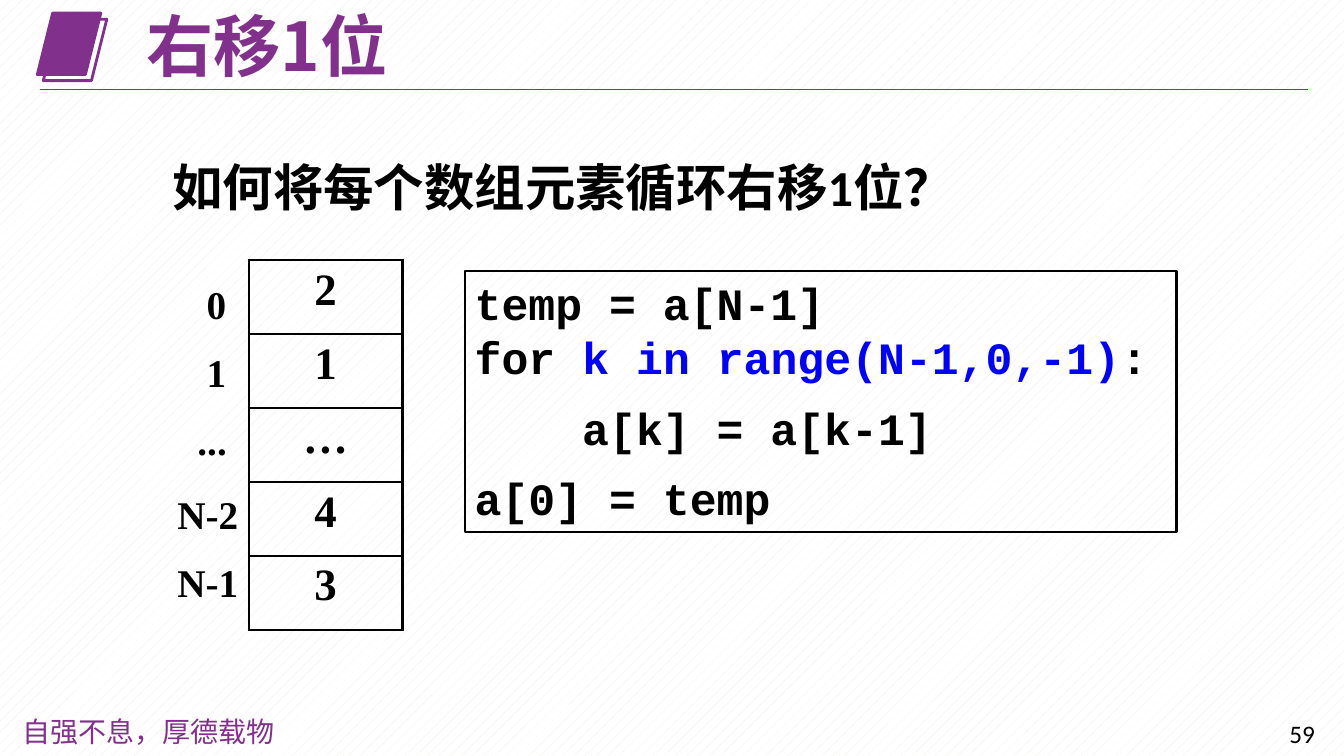
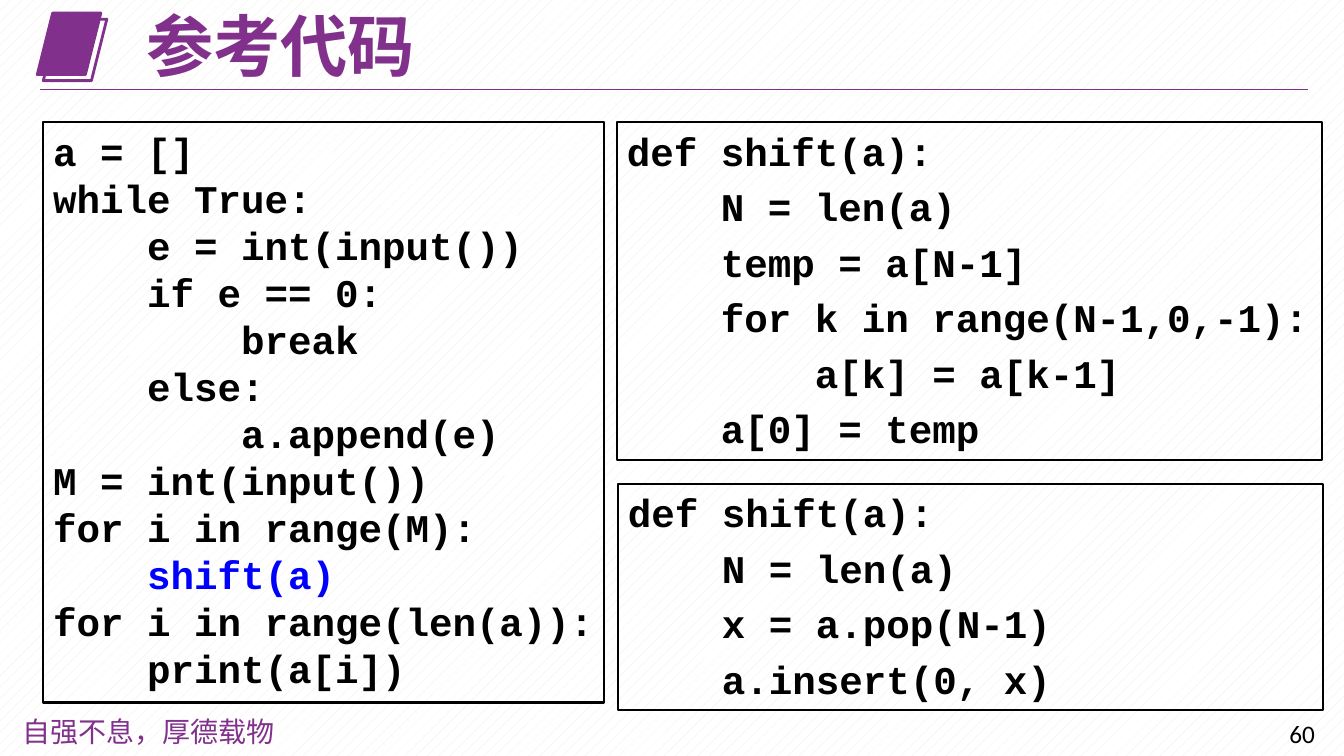
"""Build two lecture slides on rotating a list one place to the right."""
from lxml import etree
from pptx import Presentation
from pptx.dml.color import RGBColor
from pptx.enum.dml import MSO_PATTERN
from pptx.enum.shapes import MSO_CONNECTOR, MSO_SHAPE
from pptx.enum.text import MSO_ANCHOR, MSO_AUTO_SIZE, PP_ALIGN
from pptx.oxml.ns import qn
from pptx.util import Inches, Pt

RECTANGLE, PARALLELOGRAM = MSO_SHAPE.RECTANGLE, MSO_SHAPE.PARALLELOGRAM
STRAIGHT, DOTS = MSO_CONNECTOR.STRAIGHT, MSO_PATTERN.PERCENT_10
LEFT, CENTER = PP_ALIGN.LEFT, PP_ALIGN.CENTER
TOP, MIDDLE, FIXED = MSO_ANCHOR.TOP, MSO_ANCHOR.MIDDLE, MSO_AUTO_SIZE.NONE

COLORS = {"purple": "81308C", "black": "000000", "blue": "0000FF",
          "cream": "EEECE1", "white": "FFFFFF"}
CHINESE = "Noto Sans CJK SC"
STYLES = {
    "title": {"name": CHINESE, "size": Pt(48), "bold": True, "color": "purple"},
    "footer": {"name": "Noto Sans CJK JP", "size": Pt(20), "bold": False, "color": "purple"},
    "number": {"name": "Calibri", "size": Pt(18), "bold": False, "color": "black"},
    "question": {"name": "Calibri", "size": Pt(36), "bold": True, "color": "black"},
    "cell": {"name": "Times New Roman", "size": Pt(32), "bold": True, "color": "black"},
    "label": {"name": "Times New Roman", "size": Pt(28), "bold": True, "color": "black"},
    "large code": {"name": "Courier New", "size": Pt(32), "bold": True, "color": "black"},
    "code": {"name": "Courier New", "size": Pt(28), "bold": True, "color": "black"},
}

SLIDE_SIZE = (13.33, 7.5)
FIRST_NUMBER = 59
MOTTO = "自强不息，厚德载物"
QUESTION = "如何将每个数组元素循环右移1位？"
VALUES = ["2", "1", "…", "4", "3"]
LABELS = [("0", 0.29, 0), ("1", 0.29, 15), ("...", 0.2, 15), ("N-2", 0, 19), ("N-1", 0, 15)]
SHIFT_LOOP = [
    "temp = a[N-1]",
    ["for ", ("k in range(N-1,0,-1)", "blue"), ":"],
    "    a[k] = a[k-1]",
    "a[0] = temp",
]
MAIN_CODE = [
    "a = []",
    "while True:",
    "    e = int(input())",
    "    if e == 0:",
    "        break",
    "    else:",
    "        a.append(e)",
    "M = int(input())",
    "for i in range(M):",
    ["    ", ("shift(a)", "blue")],
    "for i in range(len(a)):",
    "    print(a[i])",
]
LOOP_VERSION = [
    "def shift(a):",
    "    N = len(a)",
    "    temp = a[N-1]",
    "    for k in range(N-1,0,-1):",
    "        a[k] = a[k-1]",
    "    a[0] = temp",
]
POP_VERSION = [
    "def shift(a):",
    "    N = len(a)",
    "    x = a.pop(N-1)",
    "    a.insert(0, x)",
]


def rgb(color):
    """Return a palette colour."""
    return RGBColor.from_string(COLORS[color])


def inches(*lengths):
    """Convert lengths in inches."""
    return [Inches(length) for length in lengths]


def format_span(span, style, color):
    """Give a run its Latin and Chinese fonts, size, weight and colour."""
    for name in ("name", "size", "bold"):
        setattr(span.font, name, style[name])
    span.font.color.rgb = rgb(color or style["color"])
    latin = span.font._element.find(qn("a:latin"))
    east_asian = etree.Element(qn("a:ea"))
    east_asian.set("typeface", style["name"] if "CJK" in style["name"] else CHINESE)
    latin.addnext(east_asian)


def write(frame, lines, style_name, gaps=(), align=LEFT, anchor=TOP, wrap=True):
    """Write lines, each a string or a list of spans, into a text frame."""
    settings = {"word_wrap": wrap, "auto_size": FIXED, "vertical_anchor": anchor}
    for name, value in settings.items():
        setattr(frame, name, value)
    for index, line in enumerate(lines):
        para = frame.add_paragraph() if index else frame.paragraphs[0]
        para.alignment = align
        if index and gaps:
            para.space_before = Pt(gaps[index])
        for part in [line] if isinstance(line, str) else line:
            text, color = (part, None) if isinstance(part, str) else part
            span = para.add_run()
            span.text = text
            format_span(span, STYLES[style_name], color)


def add_text(page, place, lines, style_name, **options):
    """Add a text box and return its frame."""
    frame = page.shapes.add_textbox(*inches(*place)).text_frame
    write(frame, lines, style_name, **options)
    return frame


def add_outline(shapes, kind, place, color, width, fill=None):
    """Add an outlined preset shape, filled on request."""
    box = shapes.add_shape(kind, *inches(*place))
    box.shadow.inherit = False
    box.line.color.rgb = rgb(color)
    box.line.width = Pt(width)
    if fill:
        box.fill.solid()
        box.fill.fore_color.rgb = rgb(fill)
    else:
        box.fill.background()
    return box


def add_code(page, place, lines, style_name, gaps=()):
    """Add a framed block of code."""
    box = add_outline(page.shapes, RECTANGLE, place, "black", 1.5)
    write(box.text_frame, lines, style_name, gaps=gaps)


def add_page(deck, title, number):
    """Add a slide with the title, emblem, rule and footer."""
    page = deck.slides.add_slide(deck.slide_layouts[5])
    heading = page.shapes.title
    places = dict(zip(("left", "top", "width", "height"), inches(1.35, 0.11, 7.9, 0.76)))
    for name, value in places.items():
        setattr(heading, name, value)
    write(heading.text_frame, [title], "title", anchor=MIDDLE)
    heading.text_frame.paragraphs[0].line_spacing = 0.9

    emblem = page.shapes.add_group_shape()
    for offset, fill in ((0, "purple"), (0.06, None)):
        place = (0.37 + offset, 0.13 + offset, 0.63, 0.61)
        add_outline(emblem.shapes, PARALLELOGRAM, place, "purple", 2, fill)

    rule = page.shapes.add_connector(STRAIGHT, *inches(0.4, 0.89, 12.97, 0.89))
    rule.line.color.rgb = rgb("purple")
    rule.line.width = Pt(0.75)
    etree.SubElement(rule._element.spPr, qn("a:effectLst"))

    add_text(page, (0.12, 7.04, 2.78, 0.44), [MOTTO], "footer")
    add_text(page, (12.69, 7.08, 0.61, 0.4), [str(number)], "number")
    return page


def set_borders(cell, widths):
    """Draw the four black borders of a cell."""
    properties = cell._tc.get_or_add_tcPr()
    for index, (side, width) in enumerate(widths.items()):
        border = etree.Element(qn("a:ln" + side), w=str(Pt(width)))
        fill = etree.SubElement(border, qn("a:solidFill"))
        etree.SubElement(fill, qn("a:srgbClr"), val=COLORS["black"])
        properties.insert(index, border)


def add_array(page, place, values):
    """Add a one-column table of array values with a thick outer frame."""
    table = page.shapes.add_table(len(values), 1, *inches(*place)).table
    table.first_row = table.horz_banding = False
    last = len(values) - 1
    for index, value in enumerate(values):
        cell = table.cell(index, 0)
        cell.fill.background()
        write(cell.text_frame, [value], "cell", align=CENTER)
        set_borders(cell, {"L": 2.25, "R": 2.25,
                           "T": 1 if index else 2.25,
                           "B": 2.25 if index == last else 1})


def build_question(deck, number):
    """Build the slide that asks how to shift the array."""
    page = add_page(deck, "右移1位", number)
    add_text(page, (1.61, 1.5, 8.79, 0.7), [QUESTION], "question")
    add_array(page, (2.47, 2.58, 1.52, 3.67), VALUES)
    texts, indents, gaps = zip(*LABELS)
    frame = add_text(page, (1.66, 2.73, 0.81, 3.42), texts, "label", gaps=gaps, wrap=False)
    for para, indent in zip(frame.paragraphs, indents):
        para._p.get_or_add_pPr().set("marL", str(Inches(indent)))
    add_code(page, (4.61, 2.69, 7.06, 2.59), SHIFT_LOOP, "large code", (0, 0, 12, 12))


def build_answer(deck, number):
    """Build the slide with the reference code."""
    page = add_page(deck, "参考代码", number)
    add_code(page, (0.43, 1.21, 5.56, 5.76), MAIN_CODE, "code")
    for place, lines in (((6.12, 1.21, 6.99, 3.35), LOOP_VERSION),
                         ((6.13, 4.8, 6.99, 2.24), POP_VERSION)):
        add_code(page, place, lines, "code", [6] * len(lines))


def main():
    """Build and save the deck."""
    deck = Presentation()
    deck.slide_width, deck.slide_height = inches(*SLIDE_SIZE)
    backdrop = deck.slide_master.background.fill
    backdrop.patterned()
    backdrop.pattern = DOTS
    backdrop.fore_color.rgb = rgb("cream")
    backdrop.back_color.rgb = rgb("white")
    for number, build in enumerate((build_question, build_answer), FIRST_NUMBER):
        build(deck, number)
    deck.save("out.pptx")


if __name__ == "__main__":
    main()
